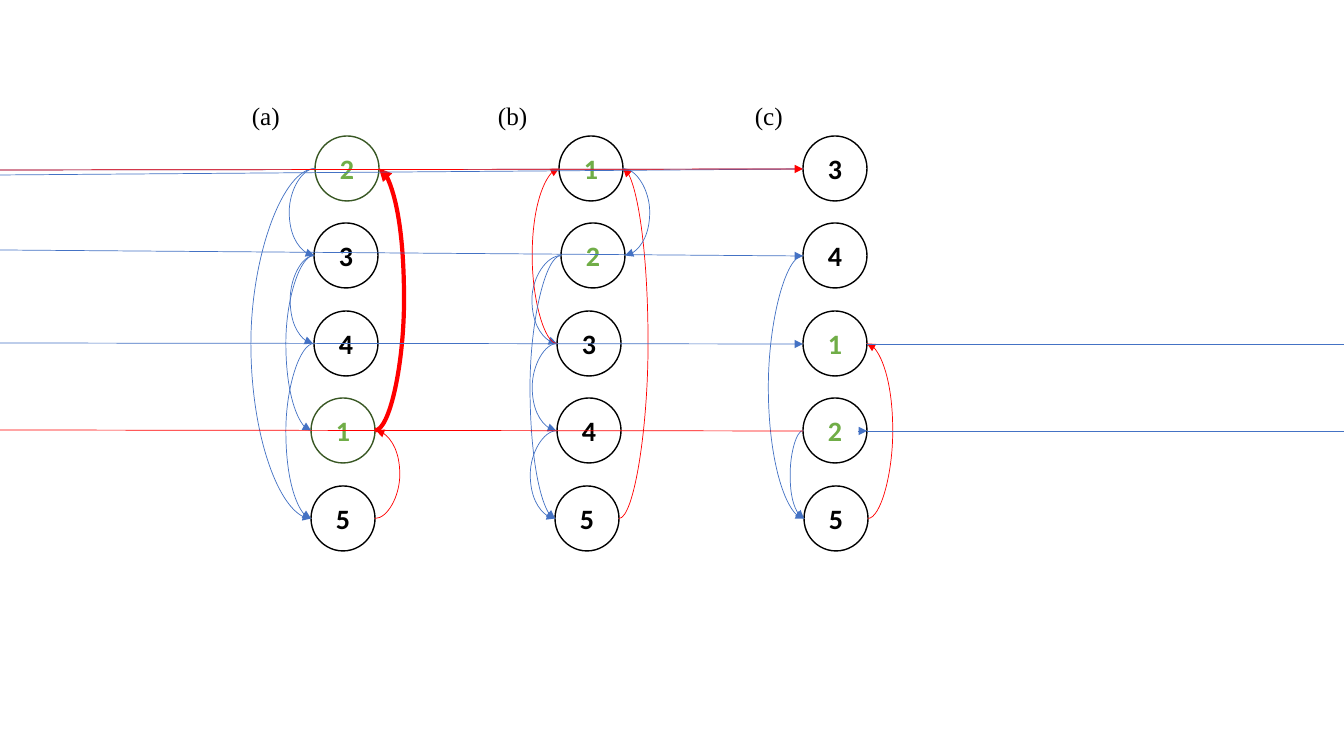
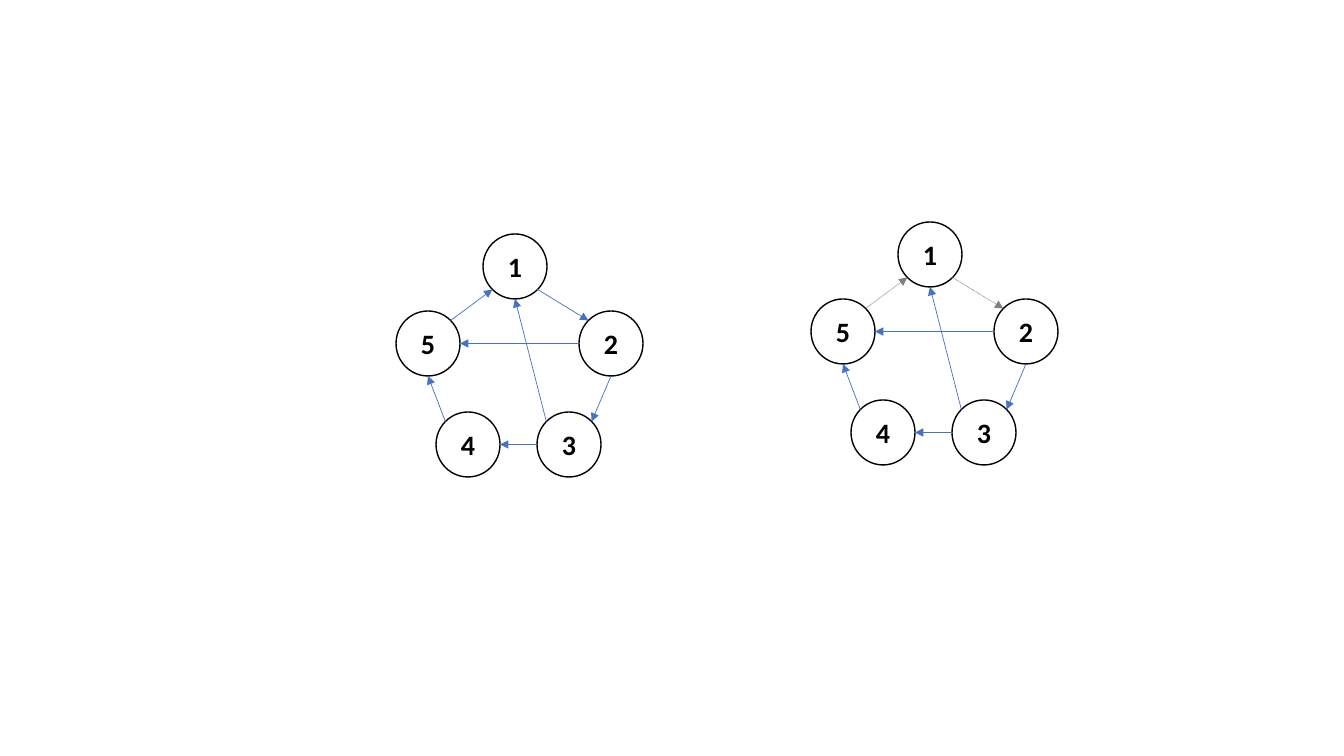
"""Builds two slides of directed graphs: ordered columns and pentagons."""
from dataclasses import dataclass
from math import cos, radians, sin
from typing import Any

from lxml.etree import SubElement
from pptx import Presentation
from pptx.dml.color import RGBColor
from pptx.enum.dml import MSO_LINE
from pptx.enum.shapes import MSO_CONNECTOR as Connector
from pptx.enum.shapes import MSO_SHAPE as Preset
from pptx.enum.text import MSO_ANCHOR as Anchor
from pptx.enum.text import PP_ALIGN as Align
from pptx.oxml.ns import qn
from pptx.util import Emu, Pt

SLIDE_WIDTH, SLIDE_HEIGHT = 1344, 756
EMU_PER_PX = 12192000 / SLIDE_WIDTH
NODE_WIDTH, NODE_HEIGHT = 64, 65
FIRST_ROW, TWO_ROWS = 136, 175
LABEL_TOP, LABEL_WIDTH, LABEL_HEIGHT = 95, 60, 40
TOP, TOP_LEFT, LEFT, BOTTOM_LEFT, BOTTOM, BOTTOM_RIGHT, RIGHT, TOP_RIGHT = range(8)
COLORS = {
    "black": "000000",
    "white": "FFFFFF",
    "green": "70AD47",
    "dark_green": "385723",
    "blue": "4472C4",
    "red": "FF0000",
    "gray": "808080",
}


@dataclass(frozen=True)
class Node:
    """A numbered circle, placed by its top left corner."""

    name: str
    left: int
    top: int
    text_color: str = "black"
    outline: str = "black"


@dataclass(frozen=True)
class Curve:
    """A curved arrow between two nodes that bends out to one x position."""

    start: str
    end: str
    bend: int
    color: str = "blue"
    weight: float = 0.5


@dataclass(frozen=True)
class Column:
    """A labelled column of nodes, listed from top to bottom."""

    label: str
    label_left: int
    order: str
    lefts: tuple[int, ...]
    outline: str
    curves: tuple[Curve, ...]


@dataclass(frozen=True)
class Ray:
    """A straight line that runs to an edge of the slide."""

    start: tuple[int, int]
    end: tuple[int, int]
    color: str = "blue"
    arrow: bool = False


@dataclass(frozen=True)
class Edge:
    """A straight arrow between connection sites of two nodes."""

    start: str
    start_site: int
    end: str
    end_site: int


COLUMNS = (
    Column("(a)", 242, "23415", (315, 314, 314, 311, 311), "dark_green", (
        Curve("5", "1", 400, "red"),
        Curve("1", "2", 404, "red", 3),
        Curve("2", "3", 289),
        Curve("3", "4", 290),
        Curve("4", "5", 286),
        Curve("3", "1", 286),
        Curve("2", "5", 251),
    )),
    Column("(b)", 488, "12345", (559, 561, 557, 557, 555), "black", (
        Curve("5", "1", 648, "red"),
        Curve("1", "2", 650),
        Curve("2", "3", 532),
        Curve("3", "4", 532),
        Curve("4", "5", 530),
        Curve("3", "1", 532, "red"),
        Curve("2", "5", 530),
    )),
    Column("(c)", 745, "34125", (803, 803, 803, 803, 804), "black", (
        Curve("5", "1", 893, "red"),
        Curve("4", "5", 768),
        Curve("2", "5", 790),
    )),
)
RAYS = (
    Ray((867, 344), (SLIDE_WIDTH, 344)),
    Ray((SLIDE_WIDTH, 431), (867, 431)),
    Ray((858, 431), (867, 431), arrow=True),
    Ray((803, 169), (0, 170)),
    Ray((803, 169), (0, 175)),
    Ray((803, 431), (0, 430), "red"),
    Ray((0, 170), (803, 169), "red", True),
    Ray((0, 250), (803, 256), arrow=True),
    Ray((0, 343), (803, 344), arrow=True),
)
PENTAGON = (
    Node("1", 483, 234),
    Node("2", 579, 311),
    Node("5", 396, 311),
    Node("4", 436, 412),
    Node("3", 537, 412),
)
EDGES = (
    Edge("5", TOP_RIGHT, "1", BOTTOM_LEFT),
    Edge("1", BOTTOM_RIGHT, "2", TOP_LEFT),
    Edge("2", BOTTOM, "3", TOP_RIGHT),
    Edge("3", TOP_LEFT, "1", BOTTOM),
    Edge("3", LEFT, "4", RIGHT),
    Edge("4", TOP_LEFT, "5", BOTTOM),
    Edge("2", LEFT, "5", RIGHT),
)
DOTTED_EDGES = EDGES[:2]


def px(length: float) -> Emu:
    """Turn px into EMU."""
    return Emu(round(length * EMU_PER_PX))


def rgb(name: str) -> RGBColor:
    """Look up a named colour."""
    return RGBColor.from_string(COLORS[name])


def write(shape: Any, text: str, *, font: str, size: int, color: str = "black",
          bold: bool = False, align: Align = Align.LEFT) -> None:
    """Put formatted text into a shape."""
    shape.text_frame.word_wrap = True
    paragraph = shape.text_frame.paragraphs[0]
    paragraph.alignment = align
    run = paragraph.add_run()
    run.text = text
    run.font.name = font
    run.font.size = Pt(size)
    run.font.bold = bold
    run.font.color.rgb = rgb(color)


def draw_node(slide: Any, node: Node) -> Any:
    """Draw a numbered circle."""
    shape = slide.shapes.add_shape(
        Preset.OVAL, px(node.left), px(node.top), px(NODE_WIDTH), px(NODE_HEIGHT))
    shape.shadow.inherit = False
    shape.fill.solid()
    shape.fill.fore_color.rgb = rgb("white")
    shape.line.color.rgb = rgb(node.outline)
    shape.line.width = Pt(1)
    shape.text_frame.vertical_anchor = Anchor.MIDDLE
    write(shape, node.name, font="Calibri", size=20, color=node.text_color,
          bold=True, align=Align.CENTER)
    return shape


def site_point(node: Node, site: int) -> tuple[float, float]:
    """Find one of the eight connection sites of a circle."""
    angle = radians(90 + 45 * site)
    return (node.left + NODE_WIDTH / 2 * (1 + cos(angle)),
            node.top + NODE_HEIGHT / 2 * (1 - sin(angle)))


def draw_line(slide: Any, start: tuple[float, float], end: tuple[float, float], *,
              color: str, weight: float = 0.5, arrow: bool = True,
              dotted: bool = False, kind: Connector = Connector.STRAIGHT) -> Any:
    """Draw a connector, with an arrowhead at its end if wanted."""
    connector = slide.shapes.add_connector(
        kind, px(start[0]), px(start[1]), px(end[0]), px(end[1]))
    connector.line.color.rgb = rgb(color)
    connector.line.width = Pt(weight)
    if dotted:
        connector.line.dash_style = MSO_LINE.ROUND_DOT
    properties = connector.element.spPr
    if arrow:
        SubElement(properties.find(qn("a:ln")), qn("a:tailEnd"), type="triangle")
    SubElement(properties, qn("a:effectLst"))
    return connector


def glue(connector: Any, start: Any, start_site: int, end: Any, end_site: int) -> None:
    """Attach both ends of a connector to circles."""
    links = connector.element.find(".//" + qn("p:cNvCxnSpPr"))
    for tag, shape, site in (("a:stCxn", start, start_site), ("a:endCxn", end, end_site)):
        SubElement(links, qn(tag), id=str(shape.shape_id), idx=str(site))


def draw_curve(slide: Any, curve: Curve, nodes: dict[str, Node],
               shapes: dict[str, Any]) -> None:
    """Draw a curved arrow on the side of the column where it bends."""
    start_node, end_node = nodes[curve.start], nodes[curve.end]
    on_left = curve.bend < start_node.left
    site = LEFT if on_left else RIGHT
    start, end = site_point(start_node, site), site_point(end_node, site)
    if round(start[0]) == round(end[0]):
        end = (start[0] + (-1 if on_left else 1), end[1])
    connector = draw_line(slide, start, end, color=curve.color,
                          weight=curve.weight, kind=Connector.CURVE)
    properties = connector.element.spPr
    if on_left:
        frame = properties.find(qn("a:xfrm"))
        frame.flipH, frame.flipV = not frame.flipH, not frame.flipV
        frame.set("rot", "10800000")
    bend = round((curve.bend - start[0]) / (end[0] - start[0]) * 100000)
    SubElement(properties.find(".//" + qn("a:avLst")), qn("a:gd"),
               name="adj1", fmla=f"val {bend}")
    glue(connector, shapes[curve.start], site, shapes[curve.end], site)


def draw_column(slide: Any, column: Column) -> None:
    """Draw a column of nodes with its curves and label."""
    nodes = {}
    for row, (name, left) in enumerate(zip(column.order, column.lefts)):
        colors = ("green", column.outline) if name in "12" else ("black", "black")
        nodes[name] = Node(name, left, FIRST_ROW + row * TWO_ROWS // 2, *colors)
    shapes = {name: draw_node(slide, node) for name, node in nodes.items()}
    for curve in column.curves:
        draw_curve(slide, curve, nodes, shapes)
    label = slide.shapes.add_textbox(
        px(column.label_left), px(LABEL_TOP), px(LABEL_WIDTH), px(LABEL_HEIGHT))
    write(label, column.label, font="Times New Roman", size=18)


def draw_pentagon(slide: Any, shift_x: int, shift_y: int,
                  dotted_edges: tuple[Edge, ...] = ()) -> None:
    """Draw the five-node graph, moved by a shift."""
    nodes = {node.name: Node(node.name, node.left + shift_x, node.top + shift_y)
             for node in PENTAGON}
    shapes = {name: draw_node(slide, node) for name, node in nodes.items()}
    for edge in EDGES:
        dotted = edge in dotted_edges
        connector = draw_line(
            slide, site_point(nodes[edge.start], edge.start_site),
            site_point(nodes[edge.end], edge.end_site),
            color="gray" if dotted else "blue", dotted=dotted)
        glue(connector, shapes[edge.start], edge.start_site,
             shapes[edge.end], edge.end_site)


def main() -> None:
    """Build and save the presentation."""
    presentation = Presentation()
    presentation.slide_width, presentation.slide_height = px(SLIDE_WIDTH), px(SLIDE_HEIGHT)
    blank = presentation.slide_layouts[6]
    columns_slide = presentation.slides.add_slide(blank)
    for column in COLUMNS:
        draw_column(columns_slide, column)
    for ray in RAYS:
        draw_line(columns_slide, ray.start, ray.end, color=ray.color, arrow=ray.arrow)
    pentagons_slide = presentation.slides.add_slide(blank)
    draw_pentagon(pentagons_slide, 0, 0)
    draw_pentagon(pentagons_slide, 415, -12, DOTTED_EDGES)
    presentation.save("out.pptx")


if __name__ == "__main__":
    main()
